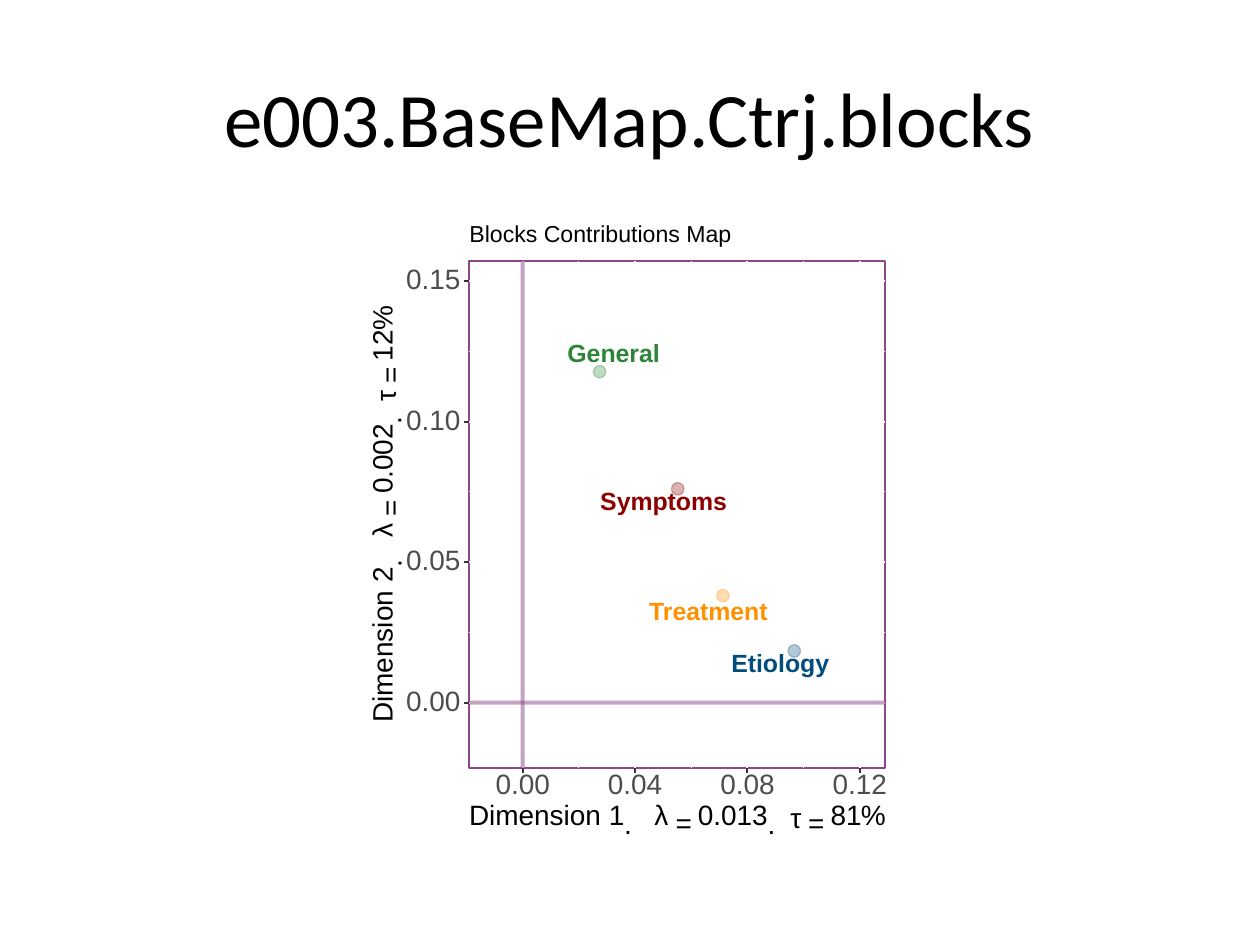
from lxml import etree
from pptx import Presentation
from pptx.dml.color import RGBColor
from pptx.enum.shapes import MSO_CONNECTOR as CONN, MSO_SHAPE as SHAPE
from pptx.enum.text import MSO_ANCHOR as ANCHOR, PP_ALIGN as ALIGN
from pptx.oxml.ns import qn
from pptx.util import Inches, Pt

COLORS = {
    "black": "000000", "white": "FFFFFF", "purple": "8B4789",
    "tick": "333333", "tick_label": "4D4D4D",
    "blue": "004C7D", "green": "2E8537", "red": "8D0000", "orange": "FF9000",
}

# The grid has 100 columns and 75 rows of equal size
COLUMNS = 100
LEFT, TOP, WIDTH, HEIGHT = 37.25, 20.7, 33, 40.25  # plot panel
RIGHT, BOTTOM = LEFT + WIDTH, TOP + HEIGHT
X_ZERO, Y_ZERO, SCALE = 41.48, 55.77, 2.23         # grid units per 0.01
TICK = 0.4


def x_at(hundredths):
    return X_ZERO + SCALE * hundredths


def y_at(hundredths):
    return Y_ZERO - SCALE * hundredths


class Board:
    """Current slide and its style; lengths are grid units."""

    def __init__(self, prs):
        self.s = prs.slides.add_slide(prs.slide_layouts[6])
        self.unit = prs.slide_width / COLUMNS

    def lengths(self, *values):
        return [round(v * self.unit) for v in values]

    def paint(self, fill, color, opacity=100):
        fill.solid()
        fill.fore_color.rgb = RGBColor.from_string(COLORS[color])
        if opacity < 100:
            node = fill._xPr.find(qn("a:solidFill"))[0]
            etree.SubElement(node, qn("a:alpha"), val=str(opacity * 1000))

    def shape(self, kind, x, y, w, h, fill, line, weight, opacity=100):
        sp = self.s.shapes.add_shape(kind, *self.lengths(x, y, w, h))
        sp.shadow.inherit = False
        if fill:
            self.paint(sp.fill, fill, opacity)
        else:
            sp.fill.background()
        sp.line.width = Pt(weight)
        self.paint(sp.line.fill, line, opacity)

    def line(self, x1, y1, x2, y2, color, weight, opacity=100):
        cn = self.s.shapes.add_connector(
            CONN.STRAIGHT, *self.lengths(x1, y1, x2, y2))
        cn.line.width = Pt(weight)
        self.paint(cn.line.fill, color, opacity)
        etree.SubElement(cn._element.spPr, qn("a:effectLst"))

    def across(self, value, *style):
        self.line(LEFT, y_at(value), RIGHT, y_at(value), *style)

    def upright(self, value, *style):
        self.line(x_at(value), BOTTOM, x_at(value), TOP, *style)

    def text(self, words, cx, cy, w, h, size=16, color="black", bold=False,
             font="Arial", rotation=0, align=ALIGN.LEFT, tight=True):
        """Text box given by its centre and size."""
        sp = self.s.shapes.add_textbox(
            *self.lengths(cx - w / 2, cy - h / 2, w, h))
        sp.rotation = rotation
        tf = sp.text_frame
        tf.text = words
        tf.vertical_anchor = ANCHOR.MIDDLE
        tf.word_wrap = not tight
        p = tf.paragraphs[0]
        p.alignment = align
        if tight:
            tf.margin_left = tf.margin_right = 0
            tf.margin_top = tf.margin_bottom = 0
            p.line_spacing = Pt(size)
        r = p.runs[0]
        r.font.size, r.font.name, r.font.bold = Pt(size), font, bold
        r.font.color.rgb = RGBColor.from_string(COLORS[color])

    def tick_label(self, value, cx, cy):
        self.text(f"{value / 100:.2f}", cx, cy, 4.4, 1.6, color="tick_label")

    def axis_title(self, dimension, eigenvalue, share, vertical=False):
        # Each piece: words, start along the axis, length, height, drop
        pieces = [
            ("Dimension", 0, 11.1, 1.6, 0), (dimension, 11.1, 1.2, 1.6, 0),
            (".", 12.3, 1.2, 0.2, 0.7), ("λ", 14.7, 1.2, 1.6, 0),
            ("=", 16.4, 1.2, 0.4, 0.6), (eigenvalue, 18.15, 5.6, 1.6, 0),
            (".", 23.7, 0.6, 0.2, 0.7), ("τ", 25.5, 1, 1.1, 0.25),
            ("=", 26.9, 1.2, 0.4, 0.6), (share, 28.7, 2.5, 1.6, 0),
            ("%", 31.1, 2, 1.6, 0),
        ]
        for words, start, w, h, drop in pieces:
            middle = start + w / 2
            if vertical:
                self.text(words, 30.5 + drop, 57.35 - middle, w, h,
                          rotation=270)
            else:
                self.text(words, 37.23 + middle, 64.87 + drop, w, h)


def main():
    prs = Presentation()
    prs.slide_width, prs.slide_height = Inches(10), Inches(7.5)
    board = Board(prs)

    # Title
    board.text("e003.BaseMap.Ctrj.blocks", 50, 9.25, 90, 12.5, size=44,
               font="Calibri", align=ALIGN.CENTER, tight=False)

    # Backgrounds and panel frame
    board.shape(SHAPE.RECTANGLE, 5, 17.5, 90, 49.5, "white", "white", 0.75)
    board.shape(SHAPE.RECTANGLE, 29, 17.5, 42, 49.5, "white", "white", 1.07)
    board.shape(SHAPE.RECTANGLE, LEFT, TOP, WIDTH, HEIGHT,
                None, "purple", 1.07)

    # Minor and major grid lines, then the zero axes
    x_ticks, y_ticks = (0, 4, 8, 12), (0, 5, 10, 15)
    for shift, weight in ((0.5, 0.53), (0, 1.07)):
        count = 3 if shift else 4
        for i in range(count):
            board.across(5 * (i + shift), "white", weight)
        for i in range(count):
            board.upright(4 * (i + shift), "white", weight)
    board.across(0, "purple", 2.35, 50)
    board.upright(0, "purple", 2.35, 50)

    # Blocks: name, x, y, colour, label offset, label size
    blocks = [
        ("Etiology", 9.67, 1.84, "blue", -1.1, 1.15, 7.8, 1.9),
        ("General", 2.74, 11.78, "green", 1.15, -1.35, 7.4, 1.5),
        ("Symptoms", 5.52, 7.61, "red", -1.1, 1.1, 10.1, 1.9),
        ("Treatment", 7.13, 3.81, "orange", -1.05, 1.35, 9.6, 1.5),
    ]
    for _, x, y, color, *_ in blocks:
        board.shape(SHAPE.OVAL, x_at(x) - 0.5, y_at(y) - 0.5, 1, 1,
                    color, color, 0.71, 30)
    for name, x, y, color, dx, dy, w, h in blocks:
        board.text(name, x_at(x) + dx, y_at(y) + dy, w, h, 14.2, color, True)

    # Ticks and their labels
    for value in y_ticks:
        y = y_at(value)
        board.tick_label(value, 34.43, y)
        board.line(LEFT - TICK, y, LEFT, y, "tick", 1.07)
    for value in x_ticks:
        x = x_at(value)
        board.line(x, BOTTOM + TICK, x, BOTTOM, "tick", 1.07)
        board.tick_label(value, x + 0.05, 62.4)

    # Axis titles and plot title
    board.axis_title("1", "0.013", "81")
    board.axis_title("2", "0.002", "12", vertical=True)
    board.text("Blocks Contributions Map", 47.65, 18.7, 20.8, 1.7, 13.2)

    prs.save("out.pptx")


if __name__ == "__main__":
    main()
